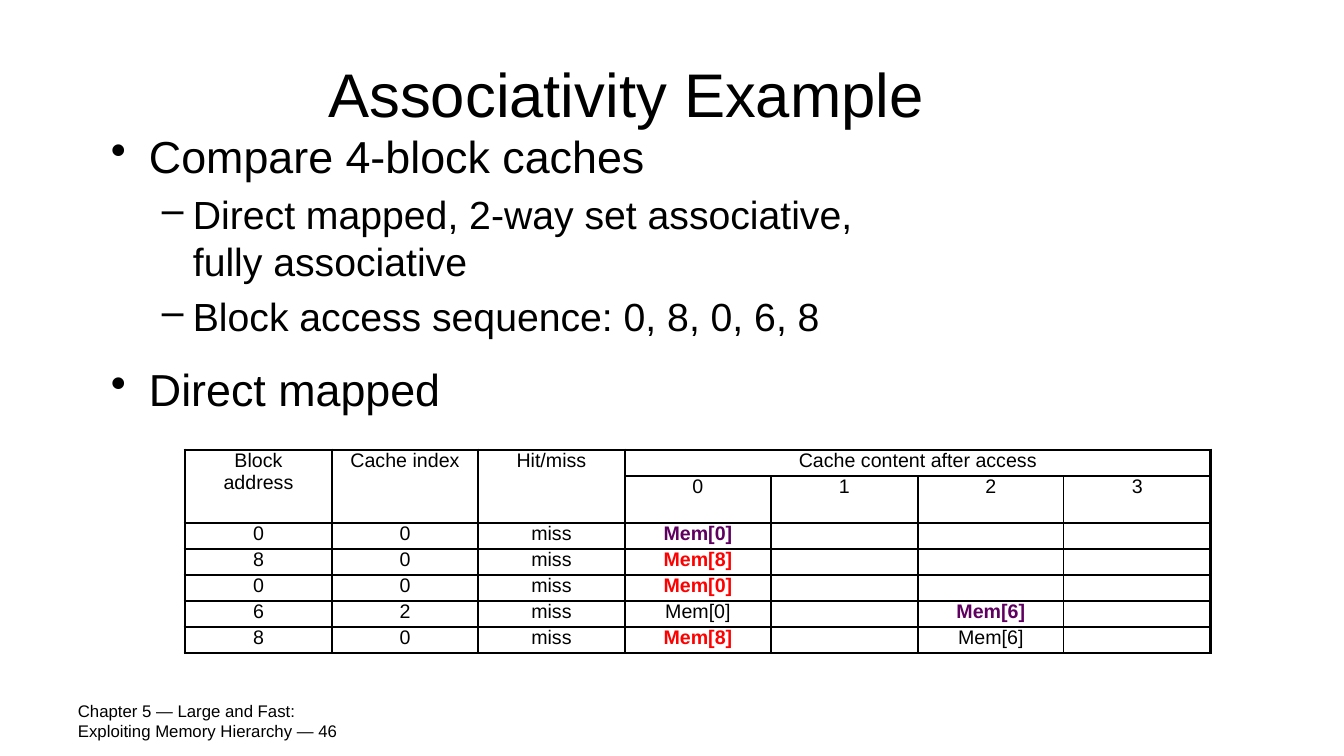
from dataclasses import dataclass

import pptx
import pptx.dml.color
import pptx.enum.text
import pptx.oxml
import pptx.oxml.ns
import pptx.util

PX_PER_INCH = 100.8
FONT = "Arial"
BLACK = pptx.dml.color.RGBColor(0x00, 0x00, 0x00)
PURPLE = pptx.dml.color.RGBColor(0x5F, 0x00, 0x60)
RED = pptx.dml.color.RGBColor(0xFF, 0x00, 0x00)
CENTER = pptx.enum.text.PP_ALIGN.CENTER
MIDDLE = pptx.enum.text.MSO_ANCHOR.MIDDLE


@dataclass
class Box:
    left: int
    top: int
    width: int
    height: int


@dataclass
class Bullet:
    text: str
    level: int = 0
    space: float = 0


@dataclass
class Level:
    mark: str
    size: int
    margin: int
    hang: int


@dataclass
class Entry:
    text: str
    color: pptx.dml.color.RGBColor = BLACK


TITLE = Box(68, 30, 1117, 126)
BODY = Box(101, 124, 1216, 309)
FOOTER = Box(68, 701, 313, 40)
TABLE = Box(185, 450, 1026, 200)
ROW_HEIGHTS = [26, 44, 26, 26, 26, 26, 26]
COLUMNS = 7

LEVELS = [Level("•", 32, 38, 38), Level("–", 28, 82, 31)]
BULLETS = [
    Bullet("Compare 4-block caches"),
    Bullet("Direct mapped, 2-way set associative,\nfully associative", 1, 0.2),
    Bullet("Block access sequence: 0, 8, 0, 6, 8", 1, 0.2),
    Bullet("Direct mapped", 0, 0.5),
]

HEADERS = ["Block address", "Cache index", "Hit/miss", "Cache content after access"]
# Block address, cache index, then the cache content by index
ACCESSES = [
    ("0", "0", {0: Entry("Mem[0]", PURPLE)}),
    ("8", "0", {0: Entry("Mem[8]", RED)}),
    ("0", "0", {0: Entry("Mem[0]", RED)}),
    ("6", "2", {0: Entry("Mem[0]"), 2: Entry("Mem[6]", PURPLE)}),
    ("8", "0", {0: Entry("Mem[8]", RED), 2: Entry("Mem[6]")}),
]


def px(n: int) -> pptx.util.Emu:
    return pptx.util.Emu(round(n * 914400 / PX_PER_INCH))


def frame(box: Box) -> tuple:
    return px(box.left), px(box.top), px(box.width), px(box.height)


def add_text(p, text: str, size: int, color=BLACK, bold: bool = False) -> None:
    for i, line in enumerate(text.split("\n")):
        if i:
            p.add_line_break()
        r = p.add_run()
        r.text = line
        r.font.name = FONT
        r.font.size = pptx.util.Pt(size)
        r.font.bold = bold
        r.font.color.rgb = color


def add_textbox(s, box: Box):
    tf = s.shapes.add_textbox(*frame(box)).text_frame
    tf.word_wrap = True
    return tf


def add_bullet(p, bullet: Bullet) -> None:
    level = LEVELS[bullet.level]
    p.level = bullet.level
    pPr = p._p.get_or_add_pPr()
    pPr.set("marL", str(px(level.margin)))
    pPr.set("indent", str(-px(level.hang)))
    mark = pptx.oxml.parse_xml(
        f'<a:buChar {pptx.oxml.ns.nsdecls("a")} char="{level.mark}"/>')
    pPr.append(mark)
    p.space_before = pptx.util.Pt(round(level.size * bullet.space, 1))
    add_text(p, bullet.text, level.size)


def add_borders(cell, outer: dict[str, bool]) -> None:
    tcPr = cell._tc.get_or_add_tcPr()
    for side, is_outer in outer.items():
        width = pptx.util.Pt(2.25 if is_outer else 1)
        tcPr.append(pptx.oxml.parse_xml(
            f'<a:ln{side} {pptx.oxml.ns.nsdecls("a")} w="{width}"><a:solidFill>'
            f'<a:srgbClr val="{BLACK}"/></a:solidFill></a:ln{side}>'))


def format_cell(cell, row: int, column: int) -> None:
    cell.margin_left = cell.margin_right = px(13)
    cell.margin_top = cell.margin_bottom = 0
    add_borders(cell, {
        "L": column == 0,
        "R": column == COLUMNS - 1 or (row == 0 and column == 3),
        "T": row == 0,
        "B": row == len(ROW_HEIGHTS) - 1,
    })
    cell.fill.background()
    p = cell.text_frame.paragraphs[0]
    p.alignment = CENTER
    p._p.get_or_add_endParaRPr().set("sz", "1400")


def add_entry(cell, entry: Entry) -> None:
    p = cell.text_frame.paragraphs[0]
    add_text(p, entry.text, 14, entry.color, entry.color != BLACK)


def add_cache_table(s) -> None:
    table = s.shapes.add_table(len(ROW_HEIGHTS), COLUMNS, *frame(TABLE)).table
    table.first_row = table.horz_banding = False
    edges = [round(TABLE.width * i / COLUMNS) for i in range(COLUMNS + 1)]
    for column, left, right in zip(table.columns, edges, edges[1:]):
        column.width = px(right - left)
    for i, height in enumerate(ROW_HEIGHTS):
        table.rows[i].height = px(height)
        for j in range(COLUMNS):
            format_cell(table.cell(i, j), i, j)

    # Two header rows
    for j in range(3):
        table.cell(0, j).merge(table.cell(1, j))
    table.cell(0, 3).merge(table.cell(0, COLUMNS - 1))
    for j, header in enumerate(HEADERS):
        add_entry(table.cell(0, j), Entry(header))
    for index in range(4):
        add_entry(table.cell(1, 3 + index), Entry(str(index)))

    # One row per access
    for i, (address, index, content) in enumerate(ACCESSES, start=2):
        for j, text in enumerate((address, index, "miss")):
            add_entry(table.cell(i, j), Entry(text))
        for block, entry in content.items():
            add_entry(table.cell(i, 3 + block), entry)


def main() -> None:
    prs = pptx.Presentation()
    prs.slide_width, prs.slide_height = px(1344), px(756)
    s = prs.slides.add_slide(prs.slide_layouts[5])

    # Title
    sp = s.shapes.title
    sp.left, sp.top, sp.width, sp.height = frame(TITLE)
    sp.text_frame.vertical_anchor = MIDDLE
    p = sp.text_frame.paragraphs[0]
    p.alignment = CENTER
    add_text(p, "Associativity Example", 44)

    # Bullets
    tf = add_textbox(s, BODY)
    for i, bullet in enumerate(BULLETS):
        add_bullet(tf.add_paragraph() if i else tf.paragraphs[0], bullet)

    # Cache table
    add_cache_table(s)

    # Footer
    tf = add_textbox(s, FOOTER)
    tf.vertical_anchor = MIDDLE
    tf.margin_right = px(35)
    add_text(tf.paragraphs[0],
             "Chapter 5 — Large and Fast: Exploiting Memory Hierarchy — 46", 12)

    prs.save("out.pptx")


if __name__ == "__main__":
    main()
